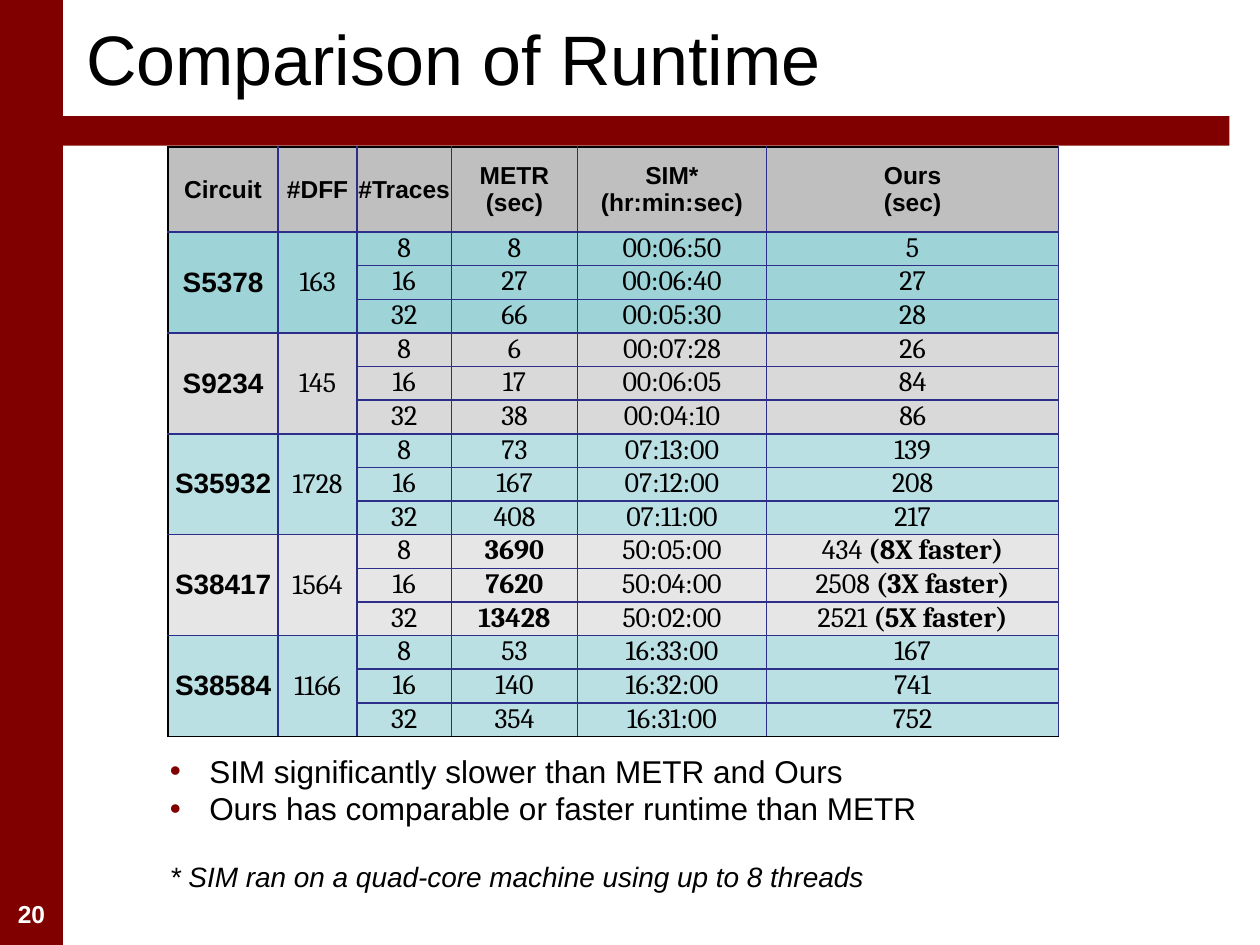
import pptx
import pptx.dml.color
import pptx.enum.shapes
import pptx.enum.text
import pptx.oxml
import pptx.oxml.ns
import pptx.util

Pt = pptx.util.Pt
ALIGN = pptx.enum.text.PP_ALIGN
ANCHOR = pptx.enum.text.MSO_ANCHOR

MAROON, BLACK, WHITE, NAVY = "800000", "000000", "FFFFFF", "2D2D8A"
TITLE = "Comparison of Runtime"
NUMBER = "20"
HEAD = ["Circuit", "#DFF", "#Traces", "METR\n(sec)", "SIM*\n(hr:min:sec)", "Ours\n(sec)"]
TRACES = ["8", "16", "32"]
# Text after a bar is bold.
GROUPS = [
    ("S5378", "163", "9ED3D7", [
        ("8", "00:06:50", "5"), ("27", "00:06:40", "27"), ("66", "00:05:30", "28")]),
    ("S9234", "145", "D9D9D9", [
        ("6", "00:07:28", "26"), ("17", "00:06:05", "84"), ("38", "00:04:10", "86")]),
    ("S35932", "1728", "BBE0E3", [
        ("73", "07:13:00", "139"), ("167", "07:12:00", "208"), ("408", "07:11:00", "217")]),
    ("S38417", "1564", "E6E6E6", [
        ("|3690", "50:05:00", "434 |(8X faster)"),
        ("|7620", "50:04:00", "2508 |(3X faster)"),
        ("|13428", "50:02:00", "2521 |(5X faster)")]),
    ("S38584", "1166", "BBE0E3", [
        ("53", "16:33:00", "167"), ("140", "16:32:00", "741"), ("354", "16:31:00", "752")]),
]
POINTS = ["SIM significantly slower than METR and Ours",
          "Ours has comparable or faster runtime than METR"]
NOTE = "* SIM ran on a quad-core machine using up to 8 threads"

WIDTHS = [63, 45, 54, 72, 108, 167]
HEAD_H, ROW_H = 48.6, 19.15
HEAD_FONT = {"name": "Arial", "size": Pt(14), "bold": True}
NAME_FONT = {"name": "Arial", "size": Pt(16), "bold": True}
DATA_FONT = {"name": "Cambria", "size": Pt(16), "bold": False}
INSETS = {"margin_left": Pt(0.72), "margin_right": Pt(0.72),
          "margin_top": 0, "margin_bottom": 0}


def paint(target, color):
    """Give a fill a solid colour."""
    target.solid()
    target.fore_color.rgb = pptx.dml.color.RGBColor.from_string(color)


def assign(target, values):
    for key, value in values.items():
        setattr(target, key, value)


def style(font, values, color=BLACK):
    assign(font, values)
    paint(font.fill, color)


def place(shape, left, top, width, height):
    assign(shape, {"left": Pt(left), "top": Pt(top),
                   "width": Pt(width), "height": Pt(height)})


def add_bar(slide, *box):
    bar = slide.shapes.add_shape(
        pptx.enum.shapes.MSO_SHAPE.RECTANGLE, *map(Pt, box))
    bar.shadow.inherit = False
    paint(bar.fill, MAROON)
    bar.line.fill.background()


def add_text(slide, *box):
    frame = slide.shapes.add_textbox(*map(Pt, box)).text_frame
    frame.word_wrap = True
    return frame


def add_xml(parent, tag, body="", **attrs):
    text = "".join(f' {key}="{value}"' for key, value in attrs.items())
    parent.append(pptx.oxml.parse_xml(
        f'<a:{tag} {pptx.oxml.ns.nsdecls("a")}{text}>{body}</a:{tag}>'))


def solid(color):
    return f'<a:solidFill><a:srgbClr val="{color}"/></a:solidFill>'


def fill_cell(cell, text, font, color, edges, middle):
    assign(cell, INSETS)
    cell.vertical_anchor = ANCHOR.MIDDLE if middle else ANCHOR.TOP
    props = cell._tc.get_or_add_tcPr()
    for side in "LRTB":
        add_xml(props, "ln" + side, solid(BLACK if side in edges else NAVY), w=Pt(1))
    paint(cell.fill, color)
    frame = cell.text_frame
    for i, line in enumerate(text.split("\n")):
        para = frame.add_paragraph() if i else frame.paragraphs[0]
        para.alignment = ALIGN.CENTER
        style(para.font, font)
        for j, part in enumerate(line.split("|")):
            if part:
                run = para.add_run()
                run.text = part
                style(run.font, {**font, "bold": font["bold"] or j > 0})


def add_runtimes(slide):
    rows = [(HEAD, "BFBFBF")]
    for name, dff, color, times in GROUPS:
        for i, (trace, data) in enumerate(zip(TRACES, times)):
            lead = ["", ""] if i else [name, dff]
            rows.append(([*lead, trace, *data], color))
    heights = [HEAD_H] + [ROW_H] * (len(rows) - 1)
    table = slide.shapes.add_table(
        len(rows), len(HEAD), Pt(96), Pt(84), Pt(sum(WIDTHS)), Pt(sum(heights))).table
    table.first_row = table.horz_banding = False
    for col, width in zip(table.columns, WIDTHS):
        col.width = Pt(width)
    for row, height in zip(table.rows, heights):
        row.height = Pt(height)
    span = len(TRACES)
    for top in range(1, len(rows), span):
        for c in (0, 1):
            table.cell(top, c).merge(table.cell(top + span - 1, c))
    for r, (texts, color) in enumerate(rows):
        for c, text in enumerate(texts):
            cell = table.cell(r, c)
            font = HEAD_FONT if r == 0 else NAME_FONT if c == 0 else DATA_FONT
            edges = "T" * (r == 0) + "L" * (c == 0)
            edges += "B" * (r + cell.span_height >= len(rows))
            fill_cell(cell, text, font, color, edges, r == 0 or c < 2)


def add_remarks(slide):
    frame = add_text(slide, 90, 426, 528, 90)
    for i, text in enumerate(POINTS):
        para = frame.add_paragraph() if i else frame.paragraphs[0]
        para.text = text
        props = para._p.get_or_add_pPr()
        props.set("marL", str(Pt(22.5)))
        props.set("indent", str(-Pt(22.5)))
        add_xml(props, "buClr", f'<a:srgbClr val="{MAROON}"/>')
        add_xml(props, "buFont", typeface="Arial")
        add_xml(props, "buChar", char="•")
        style(para.runs[0].font, {"name": "Arial", "size": Pt(18)})
    note = frame.add_paragraph()
    note.text = NOTE
    note.space_before = Pt(18.4)
    style(note.runs[0].font, {"name": "Arial", "size": Pt(16), "italic": True})


def main():
    deck = pptx.Presentation()
    assign(deck, {"slide_width": Pt(720), "slide_height": Pt(540)})
    slide = deck.slides.add_slide(deck.slide_layouts[5])
    paint(slide.background.fill, WHITE)
    add_bar(slide, 0, 0, 36, 540)
    add_bar(slide, 30, 66.4, 672.6, 16.8)

    page = add_text(slide, 0, 510, 36, 24).paragraphs[0]
    page.text, page.alignment = NUMBER, ALIGN.CENTER
    style(page.runs[0].font, HEAD_FONT, WHITE)

    title = slide.shapes.title
    place(title, 42, -6, 660, 78)
    title.text_frame.text = TITLE
    assign(title.text_frame, {"vertical_anchor": ANCHOR.MIDDLE, "word_wrap": True,
                              "auto_size": pptx.enum.text.MSO_AUTO_SIZE.NONE})
    head = title.text_frame.paragraphs[0]
    head.alignment = ALIGN.LEFT
    style(head.runs[0].font, {"name": "Arial", "size": Pt(40)})

    add_runtimes(slide)
    add_remarks(slide)
    deck.save("out.pptx")


if __name__ == "__main__":
    main()
